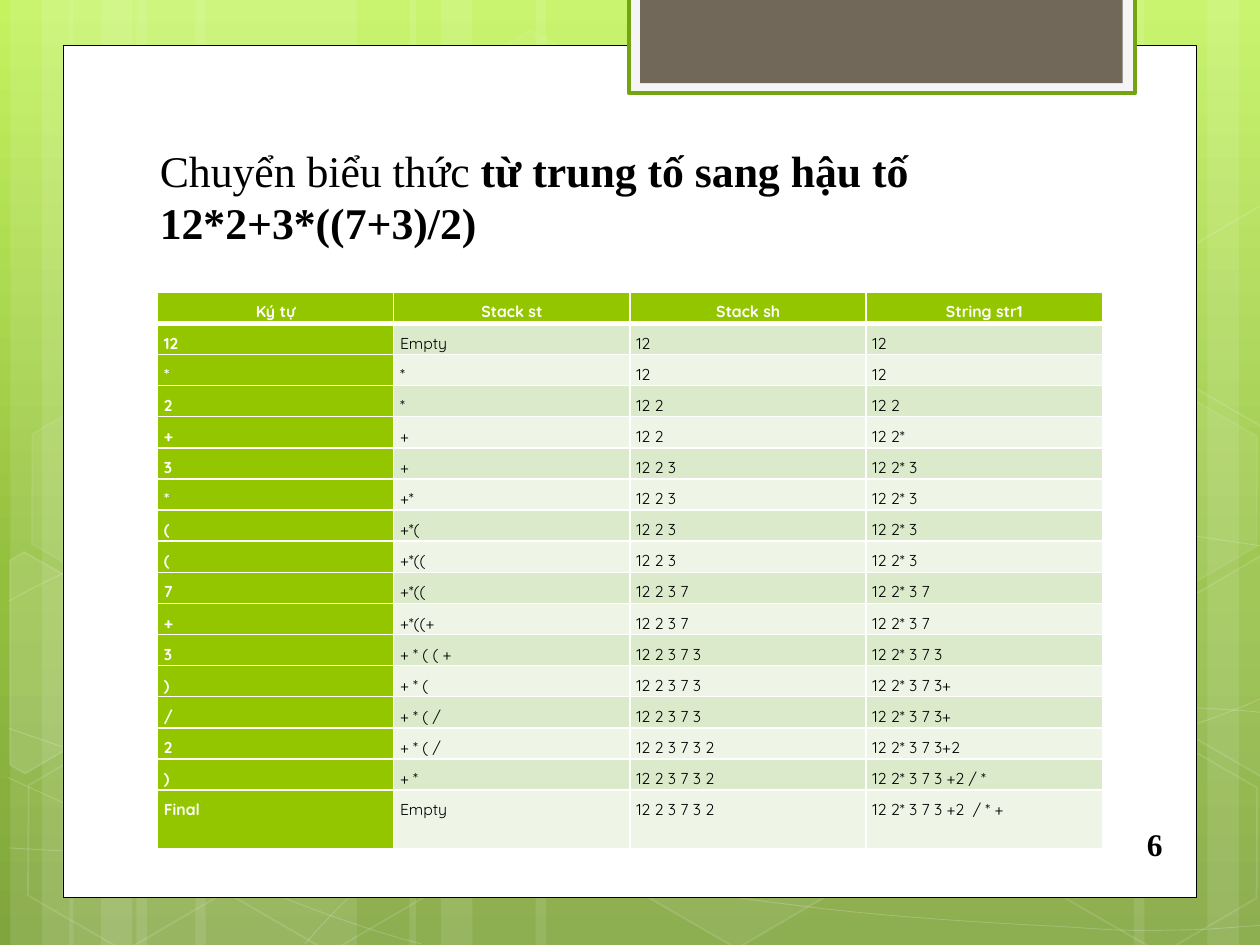
from pptx import Presentation
from pptx.dml.color import RGBColor
from pptx.enum.shapes import MSO_SHAPE
from pptx.enum.text import MSO_ANCHOR, PP_ALIGN
from pptx.oxml import parse_xml
from pptx.oxml.ns import nsdecls, qn
from pptx.util import Inches, Pt
from lxml.etree import SubElement

COLORS = {
    "white": "FFFFFF", "black": "000000", "green": "94C600", "edge": "74A510",
    "tab": "F5F5F5", "brown": "71685A", "band_dark": "DCEACC", "band_light": "EEF5E7",
    "top": "C3F35F", "middle": "93BF3F", "bottom": "81A53E",
}
TITLE_FONT, TABLE_FONT = "Times New Roman", "Quicksand"
COLUMNS, ROWS = 100, 75

# Left edge and width of each full-height stripe
STRIPES = [
    (10.83, 17.5), (0.83, 5), (3.33, 8.33), (15.5, 17.5), (5.5, 5), (8, 8.33),
    (73.33, 17.5), (95.83, 5), (90, 8.33), (42.5, 30.83), (32.5, 5), (35, 8.33),
]
# Start point, then two control points and an end point for each segment
WAVES = [
    [(0.7, 67.3), (6.1, 67.6), (11.5, 67.9), (19, 67.8), (26.5, 67.7), (35.8, 67.5), (45.8, 66.5),
     (55.8, 65.5), (70, 63.6), (79.2, 61.7), (88.3, 59.8), (97.7, 56.8), (100.7, 55.1)],
    [(0.7, 47.7), (3.6, 46.1), (6.5, 44.6), (12.1, 43.1), (17.8, 41.6), (25.9, 39.4), (34.7, 38.7),
     (43.6, 38), (54.4, 37.9), (65.4, 38.7), (76.4, 39.5), (94.7, 42.6), (100.7, 43.4)],
    [(0.6, 61.7), (12.7, 67.2), (24.7, 72.7), (33.4, 74.9)],
    [(0.7, 57.8), (3.8, 58.9), (7, 60), (12.8, 61.6), (18.6, 63.1), (27.3, 65.6), (35.7, 67.3),
     (44, 69), (54.5, 70.8), (62.8, 71.8), (71.1, 72.9), (80, 73.3), (85.3, 73.6),
     (90.5, 74), (91.9, 73.8), (94.5, 73.8), (97.1, 73.7), (98.9, 73.5), (100.7, 73.4)],
    [(24.2, 74.9), (26, 72.9), (27.8, 70.9), (30.2, 69.1), (32.6, 67.3), (36, 65.3), (38.8, 63.9),
     (41.6, 62.5), (43.3, 61.9), (47, 60.9), (50.6, 59.9), (57.3, 58.5), (60.8, 57.8),
     (64.4, 57.1), (64.9, 57.1), (68, 56.9), (71.1, 56.6), (76, 56.3), (79.4, 56.2),
     (82.9, 56.1), (88.6, 56.2), (88.6, 56.2), (90.8, 56.2), (93.1, 56.2), (95.3, 56.2),
     (97.1, 56.3), (98.8, 56.4), (99.7, 56.5), (100.6, 56.6), (100.3, 56.5), (100.6, 56.6)],
]
# Left, top, fill opacity, line opacity
HEXAGONS = [
    (33.4, 3.6, 4, 8), (49.7, 58.9, 6, 12), (1.1, 59.1, 0, 12), (1.4, 31.2, 7, 8),
    (17.4, 59.2, 0, 12), (75.3, 45.3, 10, 12), (83.4, 59.3, 0, 12), (83.4, 31.4, 7, 8),
]
LEFT_CUT = [(0.8, 44.5), (1.9, 43.8), (9.6, 48.2), (9.5, 57), (2, 61.4), (0.8, 60.7)]
RIGHT_CUT = [(92.6, 48.5), (100.1, 44.1), (100.9, 44.6), (100.9, 61.3), (100.2, 61.7), (92.6, 57.3)]
CUT_HEXAGONS = [(LEFT_CUT, 10), (RIGHT_CUT, 4), ([(x, y - 27.8) for x, y in RIGHT_CUT], 0)]
TABLE_COLUMNS = [
    ["Ký tự", "12", "*", "2", "+", "3", "*", "(", "(", "7", "+", "3", ")", "/", "2", ")", "Final"],
    ["Stack st", "Empty", "*", "*", "+", "+", "+*", "+*(", "+*((", "+*((", "+*((+",
     "+ * ( ( +", "+ * (", "+ * ( /", "+ * ( /", "+ *", "Empty"],
    ["Stack sh", *["12"] * 2, *["12 2"] * 2, *["12 2 3"] * 4, *["12 2 3 7"] * 2,
     *["12 2 3 7 3"] * 3, *["12 2 3 7 3 2"] * 3],
    ["String str1", *["12"] * 2, "12 2", "12 2*", *["12 2* 3"] * 4, *["12 2* 3 7"] * 2,
     "12 2* 3 7 3", *["12 2* 3 7 3+"] * 2, "12 2* 3 7 3+2", "12 2* 3 7 3 +2 / *",
     "12 2* 3 7 3 +2  / * +"],
]


class SlideBuilder:
    """Draws styled elements on one slide, measured in grid cells."""

    def __init__(self, presentation):
        """Add a blank slide and work out the grid cell."""
        self.slide = presentation.slides.add_slide(presentation.slide_layouts[6])
        self.cell_width = presentation.slide_width / COLUMNS
        self.cell_height = presentation.slide_height / ROWS

    def place(self, *lengths):
        """Turn alternating grid columns and rows into slide lengths."""
        cells = (self.cell_width, self.cell_height)
        return [round(length * cells[index % 2]) for index, length in enumerate(lengths)]

    def background(self, stops):
        """Fill the background with a downward gradient."""
        self.slide.background.fill.gradient()
        gradient = self.slide.element.find(".//" + qn("a:gradFill"))
        stop_xml = "".join(f'<a:gs pos="{position * 1000}"><a:srgbClr val="{COLORS[color]}"/></a:gs>'
                           for position, color in stops)
        gradient.getparent().replace(gradient, parse_xml(
            f'<a:gradFill {nsdecls("a")} rotWithShape="1"><a:gsLst>{stop_xml}</a:gsLst>'
            '<a:lin ang="5400000" scaled="0"/></a:gradFill>'))

    def paint(self, fill, color):
        """Give a fill a solid colour, or none."""
        if color:
            fill.solid()
            fill.fore_color.rgb = RGBColor.from_string(COLORS[color])
        else:
            fill.background()

    def style(self, shape, fill=None, opacity=100, line=None, weight=1, line_opacity=100):
        """Set fill, outline and opacity of a shape."""
        shape.shadow.inherit = False
        self.paint(shape.fill, fill)
        self.paint(shape.line.fill, line)
        if line:
            shape.line.width = Pt(weight)
        for prefix, share in (("", opacity), ("a:ln/", line_opacity)):
            for color in shape.element.spPr.xpath(prefix + "a:solidFill/a:srgbClr"):
                if share < 100:
                    SubElement(color, qn("a:alpha")).set("val", str(share * 1000))

    def shape(self, kind, left, top, width, height, **style):
        """Add a preset shape."""
        shape = self.slide.shapes.add_shape(kind, *self.place(left, top, width, height))
        self.style(shape, **style)
        return shape

    def hexagon(self, left, top, opacity, line_opacity):
        """Add a tilted, see-through hexagon."""
        hexagon = self.shape(MSO_SHAPE.HEXAGON, left, top, 17.5, 15.2, line="white",
                             fill="white" if opacity else None, opacity=opacity,
                             line_opacity=line_opacity)
        hexagon.adjustments[0] = 0.285
        hexagon.rotation = 30

    def outline(self, points, close=False, **style):
        """Add a freeform through the given points."""
        start, *others = [self.place(*point) for point in points]
        builder = self.slide.shapes.build_freeform(*start)
        builder.add_line_segments(others, close=close)
        shape = builder.convert_to_shape()
        self.style(shape, **style)
        return shape

    def wave(self, points):
        """Add a thin curve, joining each three points into one Bezier segment."""
        shape = self.outline(points, line="white", weight=0.5, line_opacity=20)
        lines = shape.element.spPr.xpath(".//a:lnTo")
        for index in range(0, len(lines), 3):
            curve = parse_xml(f'<a:cubicBezTo {nsdecls("a")}/>')
            lines[index].addprevious(curve)
            for line in lines[index:index + 3]:
                curve.append(line[0])
                line.getparent().remove(line)

    def format_run(self, run, font, size, color, bold):
        """Set the font of a run."""
        run.font.name, run.font.size, run.font.bold = font, Pt(size), bold
        run.font.color.rgb = RGBColor.from_string(COLORS[color])

    def text(self, left, top, width, height, runs, size, align=PP_ALIGN.LEFT, wrap=True):
        """Add a text box of (text, bold) runs."""
        frame = self.slide.shapes.add_textbox(*self.place(left, top, width, height)).text_frame
        frame.word_wrap, frame.vertical_anchor = wrap, MSO_ANCHOR.BOTTOM
        frame.paragraphs[0].alignment = align
        for content, bold in runs:
            run = frame.paragraphs[0].add_run()
            run.text = content
            self.format_run(run, TITLE_FONT, size, "black", bold)

    def cell(self, cell, content, row, column):
        """Fill in one table cell; the first row and column are headings."""
        heading = row == 0 or column == 0
        cell.margin_left = cell.margin_right = Inches(0.05)
        cell.margin_top = cell.margin_bottom = 0
        cell.text_frame.text = content
        paragraph = cell.text_frame.paragraphs[0]
        paragraph.alignment = PP_ALIGN.JUSTIFY if row else PP_ALIGN.CENTER
        paragraph.line_spacing, paragraph.space_after = 1.5, Pt(10.5)
        self.format_run(paragraph.runs[0], TABLE_FONT, 9, "white" if heading else "black", heading)
        for side in "LRTB":
            weight = 3 if (row, side) in ((0, "B"), (1, "T")) else 1
            cell._tc.get_or_add_tcPr().append(parse_xml(
                f'<a:ln{side} {nsdecls("a")} w="{int(Pt(weight))}"><a:solidFill>'
                f'<a:srgbClr val="{COLORS["white"]}"/></a:solidFill></a:ln{side}>'))
        self.paint(cell.fill, "green" if heading else "band_dark" if row % 2 else "band_light")

    def table(self, left, top, width, row_height, last_height, columns):
        """Add a table with equal columns and a taller last row."""
        heights = [row_height] * (len(columns[0]) - 1) + [last_height]
        table = self.slide.shapes.add_table(
            len(heights), len(columns), *self.place(left, top, width, sum(heights))).table
        for row, (height, contents) in enumerate(zip(heights, zip(*columns))):
            table.rows[row].height = self.place(0, height)[1]
            for column, content in enumerate(contents):
                self.cell(table.cell(row, column), content, row, column)


def main():
    """Build the slide and save it."""
    presentation = Presentation()
    presentation.slide_width, presentation.slide_height = Inches(10), Inches(7.5)
    builder = SlideBuilder(presentation)
    builder.background([(0, "top"), (62, "middle"), (100, "bottom")])
    for left, width in STRIPES:
        builder.shape(MSO_SHAPE.RECTANGLE, left, 0, width, ROWS, fill="white", opacity=10)
    for points in WAVES:
        builder.wave(points)
    for hexagon in HEXAGONS:
        builder.hexagon(*hexagon)
    for points, opacity in CUT_HEXAGONS:
        builder.outline(points, close=True, fill="white" if opacity else None,
                        opacity=opacity, line="white", line_opacity=12)
    builder.shape(MSO_SHAPE.RECTANGLE, 5, 3.6, 90, 67.6, fill="white", line="black", weight=0.5)
    builder.shape(MSO_SHAPE.RECTANGLE, 49.9, -0.2, 40.2, 7.6, fill="tab", line="edge", weight=2)
    builder.shape(MSO_SHAPE.RECTANGLE, 50.8, -0.2, 38.3, 6.8, fill="brown")
    builder.text(11.7, 10.8, 75, 9.4, [
        ("Chuyển biểu thức ", False), ("từ trung tố sang hậu tố 12*2+3*((7+3)/2)", True)], 25)
    builder.table(12.5, 23.2, 75, 2.47, 4.7, TABLE_COLUMNS)
    builder.text(90, 65, 3.3, 4, [("6", True)], 18, PP_ALIGN.CENTER, wrap=False)
    presentation.save("out.pptx")


main()
